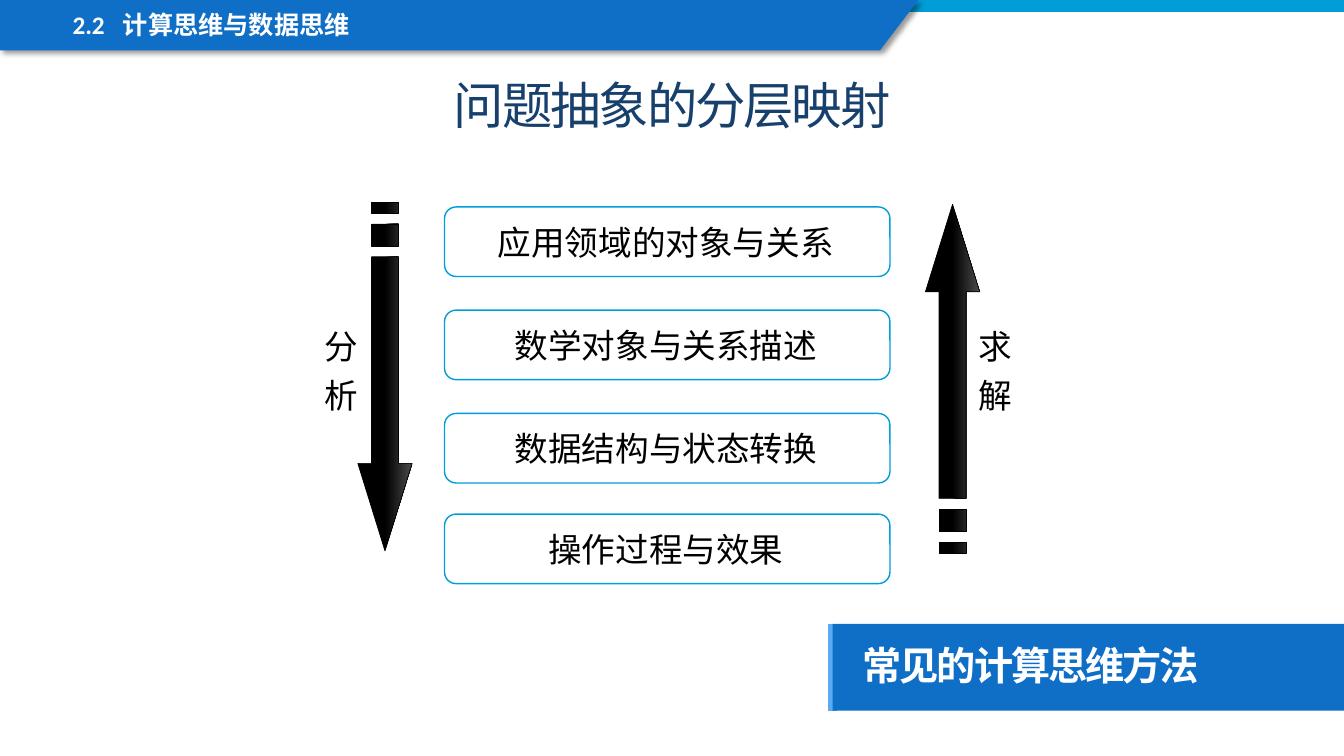
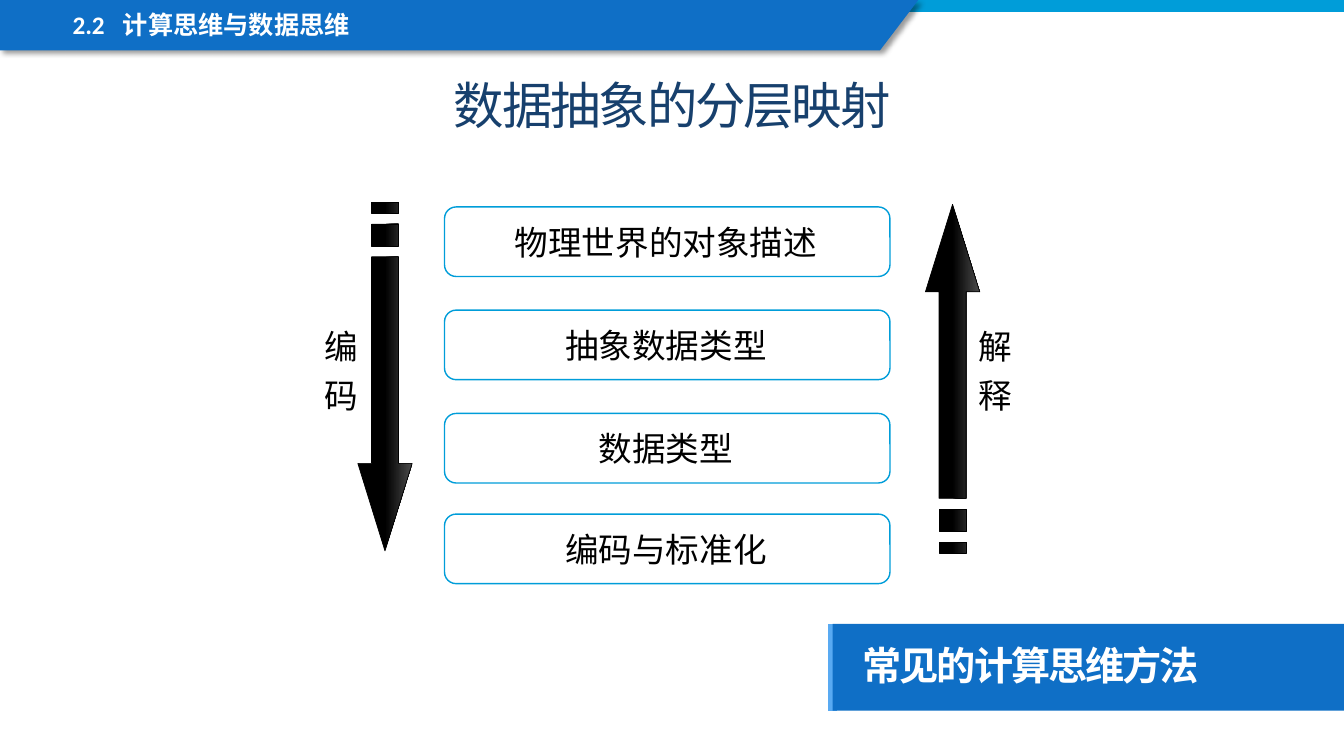
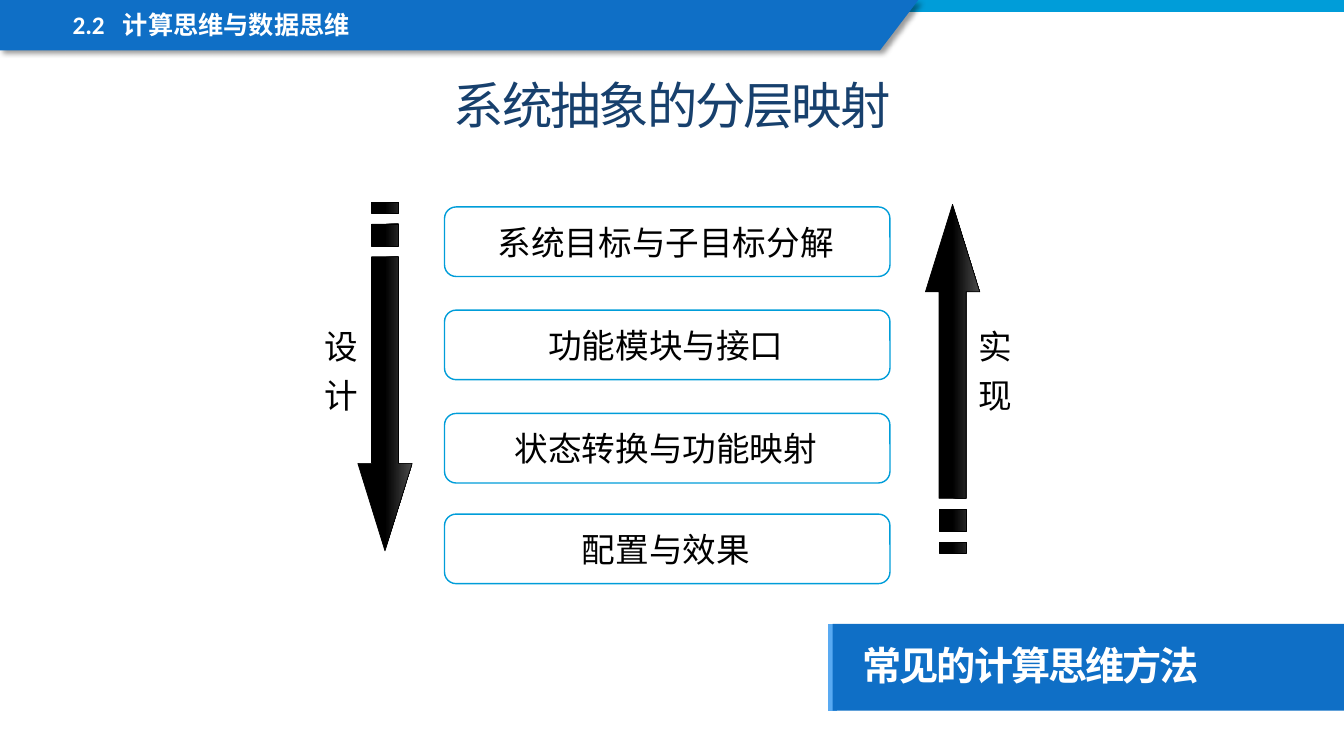
from lxml import etree
from pptx import Presentation
from pptx.dml.color import RGBColor
from pptx.enum.shapes import MSO_CONNECTOR, MSO_SHAPE
from pptx.enum.text import MSO_ANCHOR, MSO_AUTO_SIZE, PP_ALIGN
from pptx.oxml.ns import qn
from pptx.util import Pt

MIDDLE = MSO_ANCHOR.MIDDLE
LEFT = PP_ALIGN.LEFT
CENTER = PP_ALIGN.CENTER
NO_FIT = MSO_AUTO_SIZE.NONE
RECTANGLE = MSO_SHAPE.RECTANGLE
ROUNDED = MSO_SHAPE.ROUNDED_RECTANGLE
STRAIGHT = MSO_CONNECTOR.STRAIGHT

BLUE = RGBColor(0x0F, 0x6F, 0xC6)
CYAN = RGBColor(0x00, 0x9D, 0xD9)
SKY = RGBColor(0x59, 0xAA, 0xF2)
NAVY = RGBColor(0x17, 0x40, 0x6D)
WHITE = RGBColor(0xFF, 0xFF, 0xFF)
BLACK = RGBColor(0x00, 0x00, 0x00)
GREY = RGBColor(0x4B, 0x4B, 0x4B)
HAN_FONT = "Noto Sans CJK SC"

WIDTH, HEIGHT = 960, 540
TAG_LEFT, TAG_TOP, TAG_HEIGHT = 594.7, 445.7, 62
BOX_LEFT, BOX_WIDTH, BOX_HEIGHT = 317.5, 318.2, 49.7
BOX_TOPS = (147.8, 221.5, 295.3, 367.2)
ARROWS = ((275, 144.5, 1), (680.4, 395, -1))
SHAFT, HEAD = 9.6, 19.4
LABEL_LEFTS = (231.8, 699.2)

SLIDES = (
    ("问题抽象的分层映射",
     ("应用领域的对象与关系", "数学对象与关系描述", "数据结构与状态转换", "操作过程与效果"),
     ("分析", "求解")),
    ("数据抽象的分层映射",
     ("物理世界的对象描述", "抽象数据类型", "数据类型", "编码与标准化"),
     ("编码", "解释")),
    ("系统抽象的分层映射",
     ("系统目标与子目标分解", "功能模块与接口", "状态转换与功能映射", "配置与效果"),
     ("设计", "实现")),
)


def write(box, lines, font, size, color, align=LEFT, bold=False,
          spacing=1.0, tracking=0, gap=0, tab=None, insets=(0, 0)):
    frame = box.text_frame
    frame.word_wrap = True
    frame.auto_size = NO_FIT
    frame.vertical_anchor = MIDDLE
    frame.margin_left, frame.margin_right = Pt(insets[0]), Pt(insets[1])
    frame.margin_top = frame.margin_bottom = 0
    for index, line in enumerate(lines):
        para = frame.add_paragraph() if index else frame.paragraphs[0]
        properties = para._p.get_or_add_pPr()
        properties.set("marL", "0")
        properties.set("indent", "0")
        etree.SubElement(properties, qn("a:buNone"))
        if tab:
            stops = etree.SubElement(properties, qn("a:tabLst"))
            etree.SubElement(stops, qn("a:tab"), pos=str(Pt(tab)), algn="l")
        para.alignment = align
        para.line_spacing = spacing
        para.space_before = Pt(gap if index else 0)
        span = para.add_run()
        span.text = line
        span.font.name = font
        span.font.size = Pt(size)
        span.font.bold = bold
        span.font.color.rgb = color
        marks = span.font._element
        etree.SubElement(marks, qn("a:ea"), typeface=HAN_FONT)
        if tracking:
            marks.set("spc", str(round(tracking * 100)))


def outline(page, contours):
    (x, y), *rest = contours[0]
    builder = page.shapes.build_freeform(Pt(x), Pt(y), 1.0)
    builder.add_line_segments([(Pt(a), Pt(b)) for a, b in rest])
    for (x, y), *rest in contours[1:]:
        builder.move_to(Pt(x), Pt(y))
        builder.add_line_segments([(Pt(a), Pt(b)) for a, b in rest])
    shape = builder.convert_to_shape()
    shape.shadow.inherit = False
    return shape


deck = Presentation()
deck.slide_width, deck.slide_height = Pt(WIDTH), Pt(HEIGHT)
layout = deck.slide_layouts[3]
pages = [deck.slides.add_slide(layout) for _ in SLIDES]

edge = pages[0].shapes.add_connector(
    STRAIGHT, Pt(TAG_LEFT), Pt(TAG_TOP + TAG_HEIGHT), Pt(TAG_LEFT), Pt(TAG_TOP))
edge.line.color.rgb = SKY
edge.line.width = Pt(6)
etree.SubElement(edge.element.spPr, qn("a:effectLst"))

strip = pages[0].shapes.add_shape(RECTANGLE, 0, 0, Pt(WIDTH), Pt(8.6))
strip.shadow.inherit = False
strip.fill.solid()
strip.fill.fore_color.rgb = CYAN
strip.line.fill.background()

banner = outline(pages[0], [[(0, 0), (656, 0), (628.6, 36), (0, 36), (0, 0)]])
banner.fill.solid()
banner.fill.fore_color.rgb = BLUE
banner.line.fill.background()
effects = banner.element.spPr.find(qn("a:effectLst"))
shadow = etree.SubElement(effects, qn("a:outerShdw"), blurRad=str(Pt(4)),
                          dist=str(Pt(3)), dir="2700000", algn="tl", rotWithShape="0")
shade = etree.SubElement(shadow, qn("a:srgbClr"), val="000000")
etree.SubElement(shade, qn("a:alpha"), val="40000")

for position, part in enumerate((edge, strip, banner), 2):
    layout.shapes.element.insert(position, part.element)

for page, (heading, layers, labels) in zip(pages, SLIDES):
    title, section, tag = page.placeholders
    for holder, (left, top, width, height) in (
            (title, (156.2, 54.7, 648, 44.6)),
            (section, (44.6, 5, 501, 27.4)),
            (tag, (TAG_LEFT, TAG_TOP, WIDTH - TAG_LEFT, TAG_HEIGHT))):
        holder.left, holder.top = Pt(left), Pt(top)
        holder.width, holder.height = Pt(width), Pt(height)
    write(title, [heading], HAN_FONT, 36, NAVY, CENTER, spacing=0.9, tracking=-1.5)
    write(section, ["2.2\t计算思维与数据思维"], "Calibri", 18, WHITE, bold=True,
          spacing=0.9, tab=35.5, insets=(7.2, 7.2))
    tag.fill.solid()
    tag.fill.fore_color.rgb = BLUE
    write(tag, ["常见的计算思维方法"], HAN_FONT, 28, WHITE, bold=True,
          spacing=0.9, tracking=-1.5, insets=(21.6, 14.4))

    for top, layer in zip(BOX_TOPS, layers):
        box = page.shapes.add_shape(
            ROUNDED, Pt(BOX_LEFT), Pt(top), Pt(BOX_WIDTH), Pt(BOX_HEIGHT))
        box.shadow.inherit = False
        box.fill.solid()
        box.fill.fore_color.rgb = WHITE
        box.line.color.rgb = CYAN
        box.line.width = Pt(1)
        write(box, [layer], "Cabin", 24, BLACK, CENTER, insets=(0, 2))

    for (center, tail, way), left, label in zip(ARROWS, LABEL_LEFTS, labels):
        contours = [
            [(-HEAD, 186.5), (-SHAFT, 186.5), (-SHAFT, 39), (SHAFT, 39),
             (SHAFT, 186.5), (HEAD, 186.5), (0, 249), (-HEAD, 186.5)]]
        for start, end in ((15.5, 31.2), (0, 7.8)):
            contours.append([(-SHAFT, start), (SHAFT, start), (SHAFT, end),
                             (-SHAFT, end), (-SHAFT, start)])
        arrow = outline(page, [[(center + x, tail + way * y) for x, y in contour]
                               for contour in contours])
        arrow.fill.gradient()
        arrow.fill.gradient_angle = 0
        for stop, place, color in zip(arrow.fill.gradient_stops, (0.5, 1), (BLACK, GREY)):
            stop.position = place
            stop.color.rgb = color
        arrow.line.color.rgb = BLACK
        arrow.line.width = Pt(0.5)

        caption = page.shapes.add_textbox(Pt(left), Pt(224.5), Pt(25), Pt(80))
        write(caption, label, "Cabin", 24, BLACK, gap=6)

deck.save("out.pptx")
